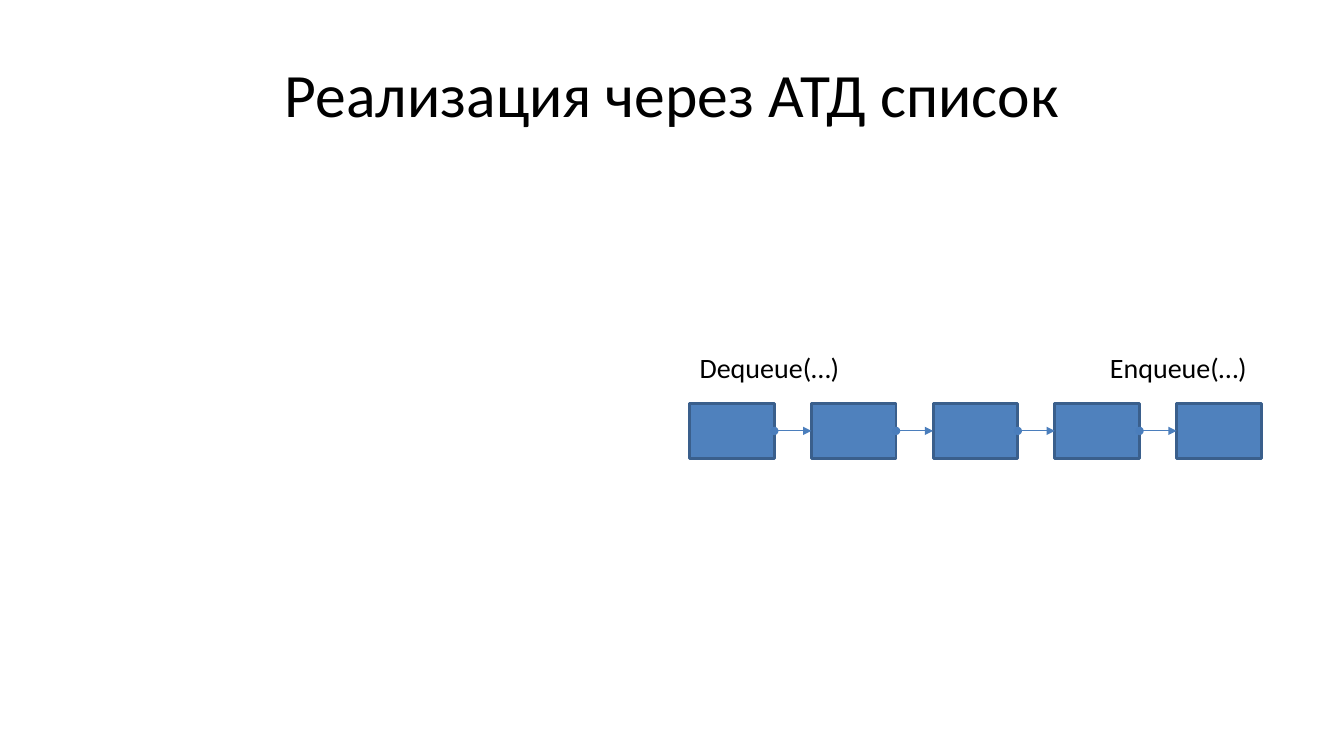
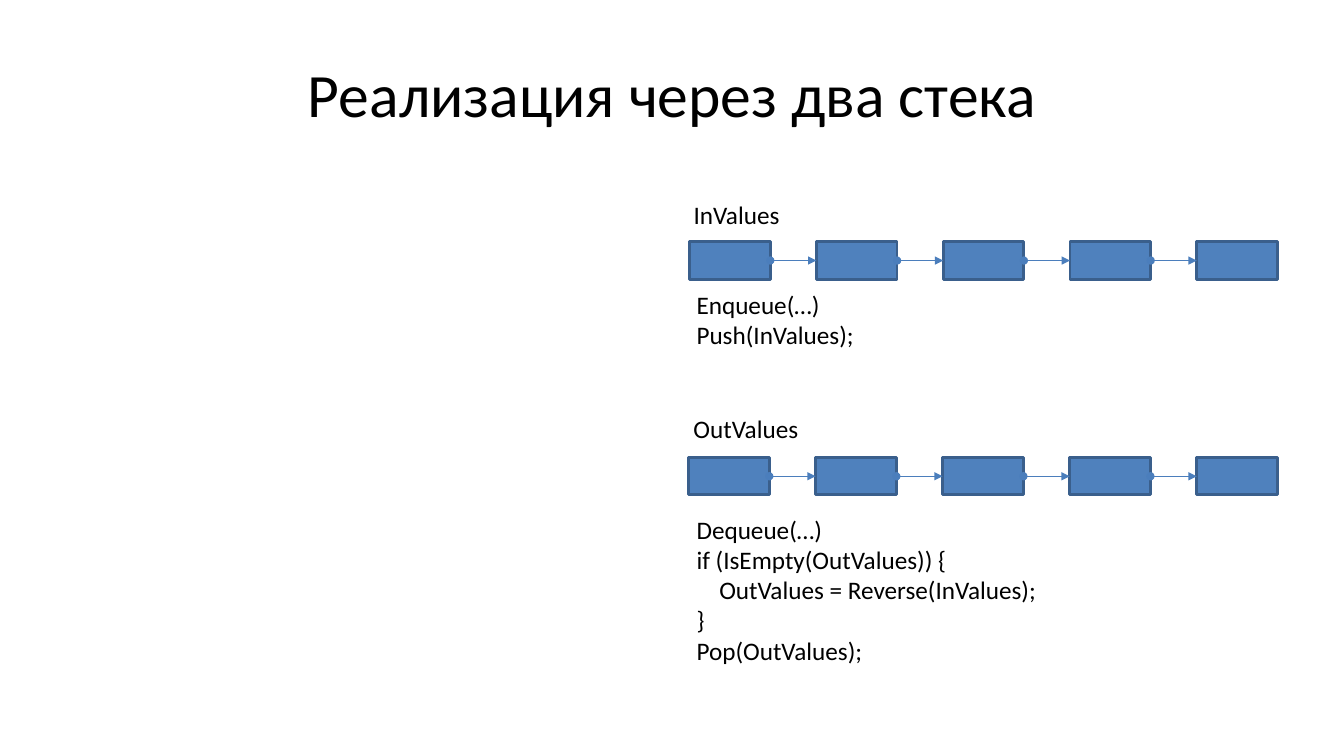
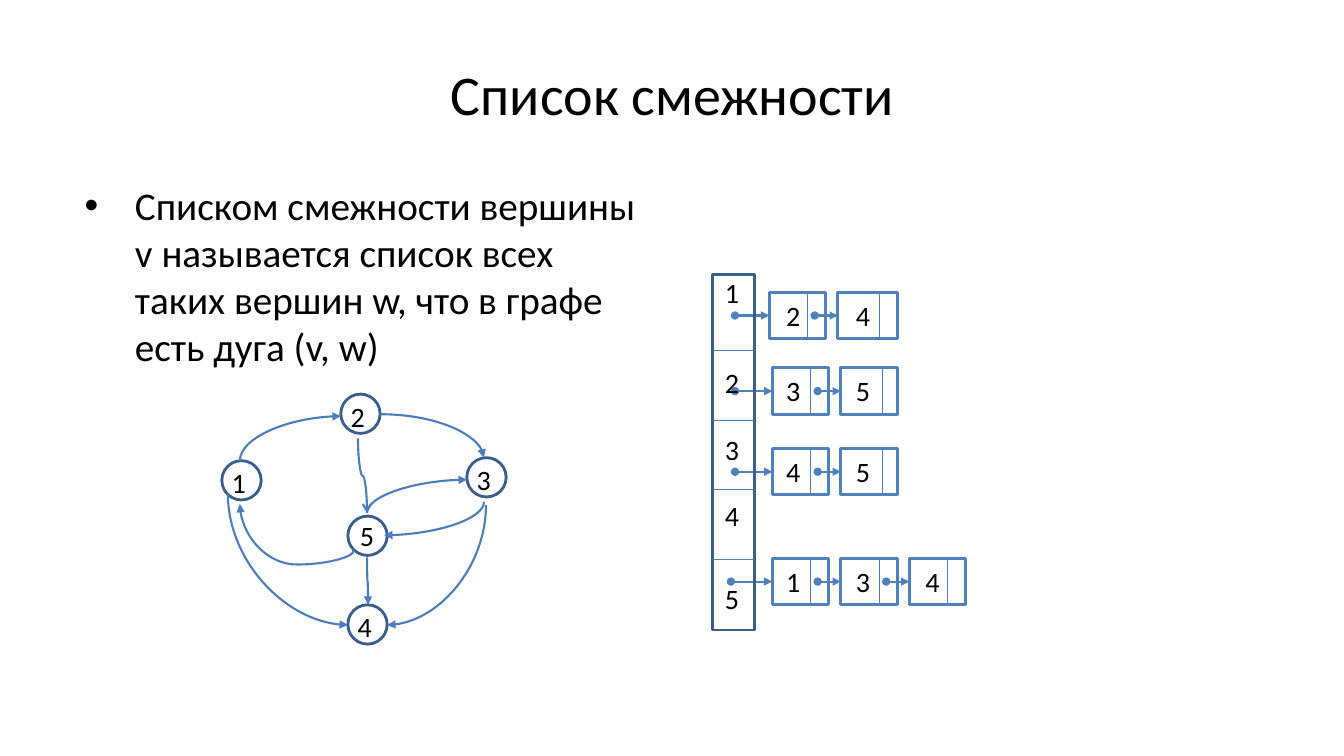
from dataclasses import dataclass
from typing import Optional, Sequence

from lxml.etree import SubElement
from pptx import Presentation
from pptx.dml.color import RGBColor
from pptx.enum.shapes import MSO_CONNECTOR, MSO_SHAPE
from pptx.enum.text import MSO_ANCHOR, MSO_AUTO_SIZE, PP_ALIGN
from pptx.oxml.ns import qn
from pptx.shapes.autoshape import Shape
from pptx.shapes.connector import Connector
from pptx.shapes.shapetree import GroupShapes
from pptx.slide import Slide
from pptx.text.text import _Paragraph
from pptx.util import Inches, Pt

TOP, LEFT, BOTTOM, RIGHT = range(4)


@dataclass(frozen=True)
class Theme:
    font: str = "Calibri"
    text: RGBColor = RGBColor(0x00, 0x00, 0x00)
    accent: RGBColor = RGBColor(0x4F, 0x81, 0xBD)
    outline: RGBColor = RGBColor(0x3A, 0x5F, 0x8C)
    arrow: RGBColor = RGBColor(0x4B, 0x7E, 0xBC)
    title_size: float = 44
    small_title_size: float = 40
    body_size: float = 28
    label_size: float = 20
    code_size: float = 18
    outline_width: float = 2
    arrow_width: float = 1.5
    thin_width: float = 0.75


THEME = Theme()


@dataclass(frozen=True)
class Chain:
    first_left: float
    last_left: float
    top: float
    width: float
    height: float
    count: int = 5


@dataclass(frozen=True)
class Label:
    left: float
    top: float
    width: float
    height: float
    lines: tuple[str, ...]
    size: float = THEME.code_size


@dataclass(frozen=True)
class Vertex:
    name: str
    left: float
    top: float
    label_dx: float = 0
    label_dy: float = 0


@dataclass(frozen=True)
class Edge:
    start: tuple[float, float]
    end: tuple[float, float]
    preset: str = "curvedConnector2"
    vertical: bool = True
    adjust: Optional[int] = None
    tail: str = "triangle"


@dataclass(frozen=True)
class AdjacencyRow:
    left: float
    top: float
    entry: float
    neighbours: str
    last_width: float = 0.56
    last_divider: float = 0.41


def add_run(paragraph: _Paragraph, text: str, size: float) -> None:
    run = paragraph.add_run()
    run.text = text
    run.font.name = THEME.font
    run.font.size = Pt(size)
    run.font.color.rgb = THEME.text


def add_title(slide: Slide, text: str, size: float = THEME.title_size) -> None:
    title = slide.shapes.title
    title.left, title.top = Inches(0.67), Inches(0.3)
    title.width, title.height = Inches(12), Inches(1.25)
    title.text_frame.vertical_anchor = MSO_ANCHOR.MIDDLE
    paragraph = title.text_frame.paragraphs[0]
    paragraph.alignment = PP_ALIGN.CENTER
    add_run(paragraph, text, size)


def add_label(shapes: GroupShapes, label: Label) -> None:
    box = shapes.add_textbox(
        Inches(label.left), Inches(label.top), Inches(label.width), Inches(label.height)
    )
    frame = box.text_frame
    frame.word_wrap = False
    frame.auto_size = MSO_AUTO_SIZE.SHAPE_TO_FIT_TEXT
    for index, line in enumerate(label.lines):
        paragraph = frame.add_paragraph() if index else frame.paragraphs[0]
        add_run(paragraph, line, label.size)


def add_digit(shapes: GroupShapes, left: float, top: float, digit: str) -> None:
    add_label(shapes, Label(left, top, 0.34, 0.44, (digit,), THEME.label_size))


def add_outlined(
    shapes: GroupShapes,
    preset: MSO_SHAPE,
    left: float,
    top: float,
    width: float,
    height: float,
    line: RGBColor,
    fill: Optional[RGBColor] = None,
) -> Shape:
    shape = shapes.add_shape(preset, Inches(left), Inches(top), Inches(width), Inches(height))
    shape.shadow.inherit = False
    if fill is None:
        shape.fill.background()
    else:
        shape.fill.solid()
        shape.fill.fore_color.rgb = fill
    shape.line.color.rgb = line
    shape.line.width = Pt(THEME.outline_width)
    return shape


def add_line(
    shapes: GroupShapes,
    start: tuple[float, float],
    end: tuple[float, float],
    color: RGBColor,
    width: float,
    head: str = "none",
    tail: str = "none",
    kind: MSO_CONNECTOR = MSO_CONNECTOR.STRAIGHT,
) -> Connector:
    connector = shapes.add_connector(kind, *(Inches(value) for value in (*start, *end)))
    connector.line.color.rgb = color
    connector.line.width = Pt(width)
    properties = connector.element.spPr
    outline = properties.find(qn("a:ln"))
    SubElement(outline, qn("a:headEnd"), type=head)
    SubElement(outline, qn("a:tailEnd"), type=tail)
    SubElement(properties, qn("a:effectLst"))
    return connector


def add_chain(shapes: GroupShapes, chain: Chain) -> None:
    pitch = (chain.last_left - chain.first_left) / (chain.count - 1)
    lefts = [chain.first_left + pitch * index for index in range(chain.count)]
    nodes = [
        add_outlined(
            shapes, MSO_SHAPE.RECTANGLE, left, chain.top, chain.width, chain.height,
            THEME.outline, THEME.accent,
        )
        for left in lefts
    ]
    middle = chain.top + chain.height / 2
    for index in range(chain.count - 1):
        link = add_line(
            shapes, (lefts[index] + chain.width, middle), (lefts[index + 1], middle),
            THEME.arrow, THEME.thin_width, "oval", "triangle",
        )
        link.begin_connect(nodes[index], RIGHT)
        link.end_connect(nodes[index + 1], LEFT)


def add_edge(shapes: GroupShapes, edge: Edge) -> None:
    (x1, y1), (x2, y2) = edge.start, edge.end
    dx, dy = x2 - x1, y2 - y1
    start, end, turn = edge.start, edge.end, 0
    if edge.vertical:
        falls_right = dx > 0 and dy > 0
        turn = 270 if falls_right else 90
        half_x = -dy / 2 if falls_right else dy / 2
        half_y = dx / 2 if falls_right else -dx / 2
        center_x, center_y = (x1 + x2) / 2, (y1 + y2) / 2
        start = (center_x - half_x, center_y - half_y)
        end = (center_x + half_x, center_y + half_y)
    curve = add_line(
        shapes, start, end, THEME.arrow, THEME.arrow_width,
        tail=edge.tail, kind=MSO_CONNECTOR.CURVE,
    )
    properties = curve.element.spPr
    if turn:
        properties.find(qn("a:xfrm")).set("rot", str(turn * 60000))
    geometry = properties.find(qn("a:prstGeom"))
    geometry.set("prst", edge.preset)
    if edge.adjust is not None:
        guides = geometry.find(qn("a:avLst"))
        SubElement(guides, qn("a:gd"), name="adj1", fmla=f"val {edge.adjust}")


def add_graph(shapes: GroupShapes, vertices: Sequence[Vertex], edges: Sequence[Edge]) -> None:
    for vertex in vertices:
        add_outlined(
            shapes, MSO_SHAPE.OVAL, vertex.left, vertex.top, 0.39, 0.39, THEME.outline
        )
        add_digit(
            shapes, vertex.left + vertex.label_dx, vertex.top + vertex.label_dy, vertex.name
        )
    for edge in edges:
        add_edge(shapes, edge)


def add_adjacency_row(shapes: GroupShapes, row: AdjacencyRow) -> None:
    pitch, height = 0.68, 0.46
    middle = row.top + height / 2
    arrow_start = row.entry
    for index, neighbour in enumerate(row.neighbours):
        is_last = index == len(row.neighbours) - 1
        left = row.left + pitch * index
        cell = add_outlined(
            shapes, MSO_SHAPE.RECTANGLE, left, row.top,
            row.last_width if is_last else 0.56, height, THEME.accent,
        )
        divider = left + (row.last_divider if is_last else 0.38)
        add_line(
            shapes, (divider, row.top), (divider, row.top + height),
            THEME.accent, THEME.thin_width,
        )
        pointer = add_line(
            shapes, (arrow_start, middle), (left, middle),
            THEME.accent, THEME.arrow_width, "oval", "triangle",
        )
        pointer.end_connect(cell, LEFT)
        add_digit(shapes, 7.7 + 0.69 * index, row.top + 0.01, neighbour)
        arrow_start = left + 0.45


def add_vertex_column(shapes: GroupShapes, digit_tops: Sequence[float]) -> None:
    left, width = 7.07, 0.41
    add_outlined(shapes, MSO_SHAPE.RECTANGLE, left, 2.72, width, 3.53, THEME.outline)
    for index in range(len(digit_tops) - 1):
        y = 3.48 + 0.69 * index
        add_line(shapes, (left + width, y), (left, y), THEME.accent, THEME.thin_width)
    for number, top in enumerate(digit_tops, start=1):
        add_digit(shapes, 7.09, top, str(number))


def add_definition(slide: Slide, text: str) -> None:
    box = slide.shapes.add_textbox(Inches(0.67), Inches(1.75), Inches(5.89), Inches(4.95))
    box.text_frame.word_wrap = True
    paragraph = box.text_frame.paragraphs[0]
    properties = paragraph._p.get_or_add_pPr()
    properties.set("marL", str(Inches(0.57)))
    properties.set("indent", str(Inches(-0.5)))
    SubElement(properties, qn("a:buFont"), typeface="Arial")
    SubElement(properties, qn("a:buChar"), char="•")
    add_run(paragraph, text, THEME.body_size)


def build_list_slide(slide: Slide) -> None:
    add_title(slide, "Реализация через АТД список")
    queue = slide.shapes.add_group_shape().shapes
    add_chain(queue, Chain(6.84, 11.67, 4, 0.84, 0.55))
    add_label(queue, Label(6.84, 3.43, 1.63, 0.44, ("Dequeue(…)",), THEME.label_size))
    add_label(queue, Label(10.91, 3.43, 1.59, 0.44, ("Enqueue(…)",), THEME.label_size))


def build_stacks_slide(slide: Slide) -> None:
    add_title(slide, "Реализация через два стека")
    stacks = (
        (Chain(6.84, 11.87, 2.4, 0.8, 0.37), Label(6.78, 1.93, 1.42, 0.4, ("InValues",))),
        (Chain(6.83, 11.87, 4.54, 0.8, 0.37), Label(6.78, 4.05, 1.67, 0.4, ("OutValues",))),
    )
    for chain, caption in stacks:
        stack = slide.shapes.add_group_shape().shapes
        add_chain(stack, chain)
        add_label(stack, caption)
    add_label(slide.shapes, Label(6.81, 2.82, 1.78, 0.71, ("Enqueue(…)", "Push(InValues);")))
    dequeue_code = (
        "Dequeue(…)",
        "if (IsEmpty(OutValues)) {",
        "    OutValues = Reverse(InValues);",
        "}",
        "Pop(OutValues);",
    )
    add_label(slide.shapes, Label(6.81, 5.05, 3.79, 1.62, dequeue_code))


def build_adjacency_slide(slide: Slide) -> None:
    add_title(slide, "Список смежности", THEME.small_title_size)
    add_definition(
        slide,
        "Списком смежности вершины v называется список всех таких вершин w, "
        "что в графе есть дуга (v, w)",
    )
    vertices = (
        Vertex("1", 2.2, 4.57),
        Vertex("2", 3.38, 3.91),
        Vertex("3", 4.63, 4.54),
        Vertex("4", 3.45, 6),
        Vertex("5", 3.45, 5.12, 0.02, -0.03),
    )
    edges = (
        Edge((2.38, 4.57), (3.38, 4.13)),
        Edge((4.8, 4.98), (3.81, 5.31)),
        Edge((3.55, 4.35), (3.64, 5.09), "curvedConnector3", adjust=50000, tail="arrow"),
        Edge((3.64, 5.09), (4.63, 4.76)),
        Edge((3.51, 5.46), (2.38, 5), "curvedConnector3", adjust=-30600),
        Edge((3.77, 4.11), (4.8, 4.54), vertical=False),
        Edge((2.26, 4.9), (3.45, 6.2)),
        Edge((3.64, 5.53), (3.65, 6), "curvedConnector3", adjust=50000),
        Edge((4.82, 5.01), (3.84, 6.2)),
    )
    add_graph(slide.shapes.add_group_shape().shapes, vertices, edges)
    rows = (
        AdjacencyRow(7.63, 2.9, 7.29, "24", last_width=0.59),
        AdjacencyRow(7.66, 3.65, 7.29, "35"),
        AdjacencyRow(7.66, 4.45, 7.29, "45"),
        AdjacencyRow(7.66, 5.54, 7.25, "134", last_divider=0.38),
    )
    adjacency = slide.shapes.add_group_shape().shapes
    for row in rows:
        add_adjacency_row(adjacency, row)
    add_vertex_column(adjacency, (2.68, 3.58, 4.24, 4.9, 5.72))


def main() -> None:
    presentation = Presentation()
    presentation.slide_width, presentation.slide_height = Inches(13.33), Inches(7.5)
    title_only = presentation.slide_layouts[5]
    for build in (build_list_slide, build_stacks_slide, build_adjacency_slide):
        build(presentation.slides.add_slide(title_only))
    presentation.save("out.pptx")


if __name__ == "__main__":
    main()
